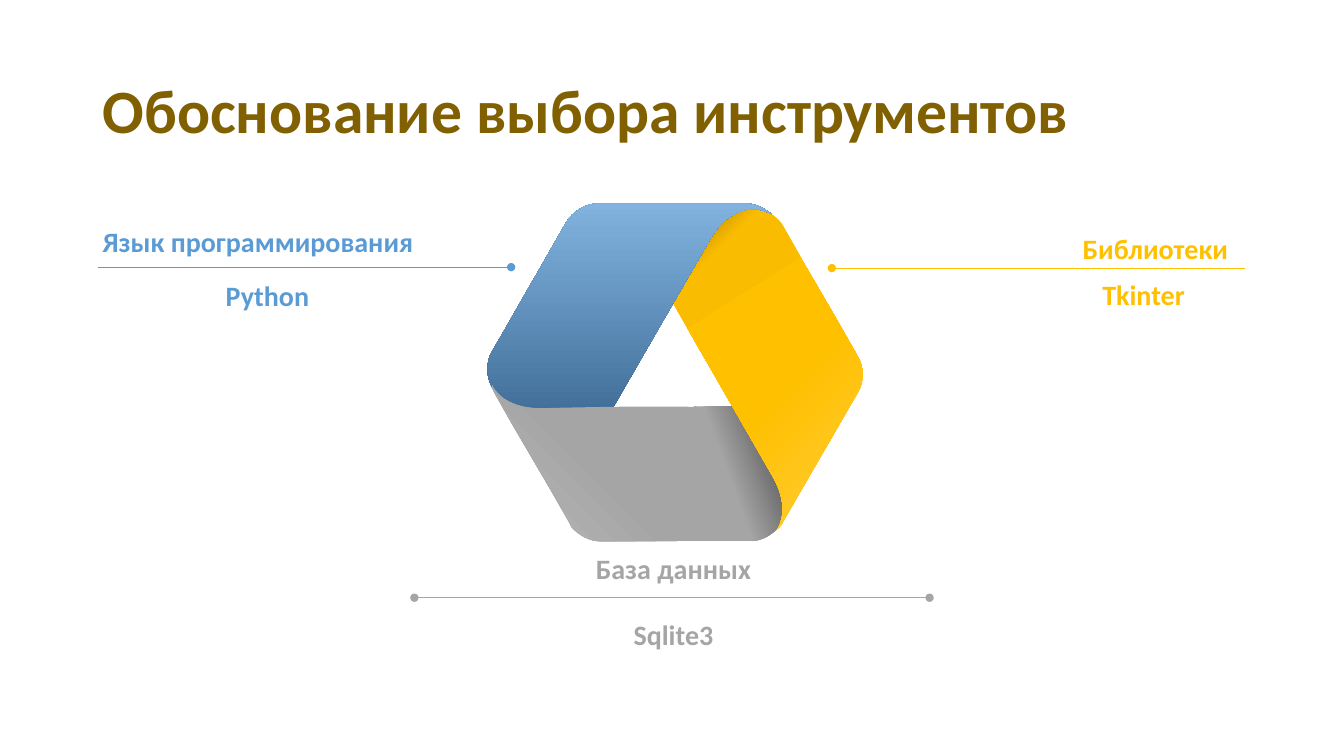
from copy import deepcopy

from lxml.etree import SubElement
from pptx import Presentation
from pptx.dml.color import RGBColor
from pptx.enum.shapes import MSO_CONNECTOR
from pptx.enum.text import MSO_ANCHOR, PP_ALIGN
from pptx.oxml.ns import qn
from pptx.util import Inches, Pt

BROWN = RGBColor(0x80, 0x60, 0x00)
BLUE = RGBColor(0x5B, 0x9B, 0xD5)
BLUE_DARK = RGBColor(0x1E, 0x4B, 0x74)
BLUE_LIGHT = RGBColor(0x82, 0xB3, 0xDF)
GOLD = RGBColor(0xFF, 0xC0, 0x00)
GOLD_DEEP = RGBColor(0xFA, 0xBC, 0x00)
GOLD_DARK = RGBColor(0x59, 0x43, 0x00)
GOLD_LIGHT = RGBColor(0xFF, 0xCE, 0x3B)
GRAY = RGBColor(0xA5, 0xA5, 0xA5)
GRAY_DARK = RGBColor(0x5E, 0x5E, 0x5E)
GRAY_LIGHT = RGBColor(0xB8, 0xB8, 0xB8)

prs = Presentation()
prs.slide_width = Inches(13.33)
prs.slide_height = Inches(7.5)
slide = prs.slides.add_slide(prs.slide_layouts[6])


def add_text(text, left, top, width, height, size, color, align):
    box = slide.shapes.add_textbox(Inches(left), Inches(top), Inches(width), Inches(height))
    frame = box.text_frame
    frame.word_wrap = True
    frame.text = text
    paragraph = frame.paragraphs[0]
    paragraph.alignment = align
    font = paragraph.runs[0].font
    font.name = "Calibri"
    font.size = Pt(size)
    font.bold = True
    font.color.rgb = color
    return frame


def add_outline(start, segments):
    builder = slide.shapes.build_freeform(Inches(start[0]), Inches(start[1]))
    for segment in segments:
        corners = [(Inches(x), Inches(y)) for x, y in zip(segment[::2], segment[1::2])]
        builder.add_line_segments(corners, close=False)
    builder.add_line_segments([], close=True)
    outline = builder.convert_to_shape()
    steps = iter(outline._element.findall(".//" + qn("a:lnTo")))
    for segment in segments:
        curve = next(steps)
        if len(segment) == 6:
            curve.tag = qn("a:cubicBezTo")
            for extra in (next(steps), next(steps)):
                curve.append(extra[0])
                extra.getparent().remove(extra)
    return outline


title = add_text("Обоснование выбора инструментов", 0.92, 0.4, 11.5, 1.45, 44, BROWN, PP_ALIGN.LEFT)
title.vertical_anchor = MSO_ANCHOR.MIDDLE
title.paragraphs[0].line_spacing = 0.9

ribbons = [
    ((5.97, 2.06),
     [(7.46, 2.06), (7.57, 2.06, 7.7, 2.14, 7.76, 2.23), (8.3, 3.18), (7.19, 3.9),
      (6.33, 2.41), (6.18, 2.14, 5.95, 2.05, 5.74, 2.15), (5.81, 2.09, 5.9, 2.06, 5.97, 2.06)],
     [(0, GOLD), (0.59, GOLD_DEEP), (0.88, GOLD_DARK)], 135),
    ((6.88, 4.03),
     [(7.02, 4.04, 7.36, 4.01, 7.47, 4.05), (7.59, 4.08, 7.43, 4.21, 7.55, 4.24),
      (7.66, 4.27, 7.95, 4.24, 8.15, 4.24), (8.28, 4.24, 8.26, 4.23, 8.31, 4.23), (7.75, 5.19),
      (7.69, 5.29, 7.56, 5.37, 7.45, 5.37), (6.91, 5.37), (6.91, 4.92, 6.88, 4.48, 6.88, 4.03)],
     [(0, GRAY), (0.3, GRAY), (0.62, GRAY_DARK)], 20),
    ((4.88, 3.84),
     [(5.62, 5.13), (5.63, 5.14, 5.64, 5.16, 5.66, 5.18),
      (5.59, 5.04, 5.6, 4.86, 5.72, 4.67), (7.04, 2.38), (7.21, 2.09, 7.45, 2.01, 7.66, 2.13),
      (7.59, 2.07, 7.49, 2.02, 7.41, 2.02), (5.92, 2.02), (5.81, 2.02, 5.68, 2.1, 5.62, 2.2),
      (4.88, 3.49), (4.82, 3.58, 4.82, 3.74, 4.88, 3.84)],
     [(0, BLUE_DARK), (1, BLUE_LIGHT)], 90),
    ((4.88, 3.82),
     [(4.95, 3.96, 5.12, 4.05, 5.36, 4.05), (5.36, 4.05, 6.45, 4.02, 7, 4.04),
      (7, 5.37), (5.95, 5.37), (5.85, 5.37, 5.74, 5.31, 5.67, 5.23),
      (5.66, 5.22, 5.66, 5.2, 5.65, 5.19), (5.49, 4.91), (5.08, 4.21), (4.91, 3.91),
      (4.89, 3.88, 4.88, 3.85, 4.88, 3.82)],
     [(0, GRAY), (0.5, GRAY), (1, GRAY_LIGHT)], 225),
    ((7.94, 2.56),
     [(8.05, 2.74, 8.23, 3.05, 8.51, 3.54), (8.57, 3.64, 8.57, 3.79, 8.51, 3.89),
      (7.77, 5.17), (7.76, 5.2, 7.73, 5.23, 7.71, 5.25), (7.79, 5.11, 7.78, 4.93, 7.66, 4.72),
      (6.82, 3.26)],
     [(0, GOLD_LIGHT), (0.5, GOLD), (1, GOLD)], 135),
]
for start, segments, stops, angle in ribbons:
    ribbon = add_outline(start, segments)
    ribbon.shadow.inherit = False
    ribbon.line.fill.background()
    ribbon.fill.gradient()
    ribbon.fill.gradient_angle = angle
    stop_list = ribbon._element.spPr.find(".//" + qn("a:gsLst"))
    while len(stop_list) < len(stops):
        stop_list.append(deepcopy(stop_list[0]))
    for stop, (position, color) in zip(ribbon.fill.gradient_stops, stops):
        stop.position = position
        stop.color.rgb = color

labels = [
    ("Библиотеки", 8.22, 2.25, 4.06, GOLD, PP_ALIGN.RIGHT),
    ("Tkinter", 7.79, 2.7, 4.06, GOLD, PP_ALIGN.RIGHT),
    ("Язык программирования", 0.92, 2.18, 4.06, BLUE, PP_ALIGN.LEFT),
    ("Python", 2.14, 2.71, 4.06, BLUE, PP_ALIGN.LEFT),
    ("База данных", 4.13, 5.42, 5.1, GRAY, PP_ALIGN.CENTER),
    ("Sqlite3", 4.13, 6.08, 5.1, GRAY, PP_ALIGN.CENTER),
]
for text, left, top, width, color, align in labels:
    add_text(text, left, top, width, 0.44, 20, color, align)

rules = [
    (8.25, 12.35, 2.66, GOLD, ["a:headEnd"]),
    (0.97, 5.07, 2.65, BLUE, ["a:tailEnd"]),
    (4.11, 9.22, 5.93, GRAY, ["a:headEnd", "a:tailEnd"]),
]
for start, end, y, color, dots in rules:
    rule = slide.shapes.add_connector(MSO_CONNECTOR.STRAIGHT, Inches(start), Inches(y), Inches(end), Inches(y))
    rule.line.color.rgb = color
    rule.line.width = Pt(0.5)
    for dot in dots:
        SubElement(rule.line._ln, qn(dot), type="oval")
    SubElement(rule._element.spPr, qn("a:effectLst"))

prs.save("out.pptx")
